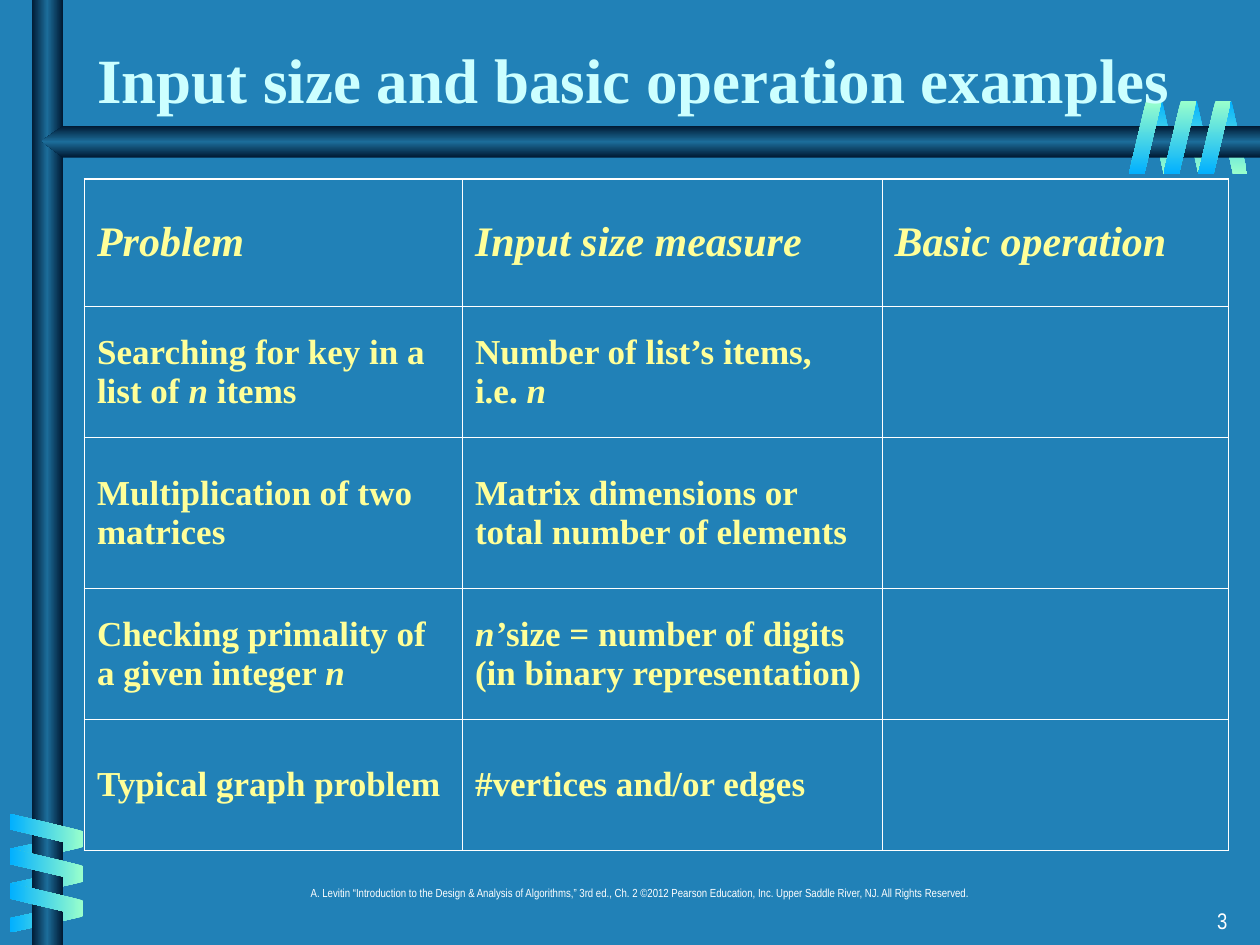
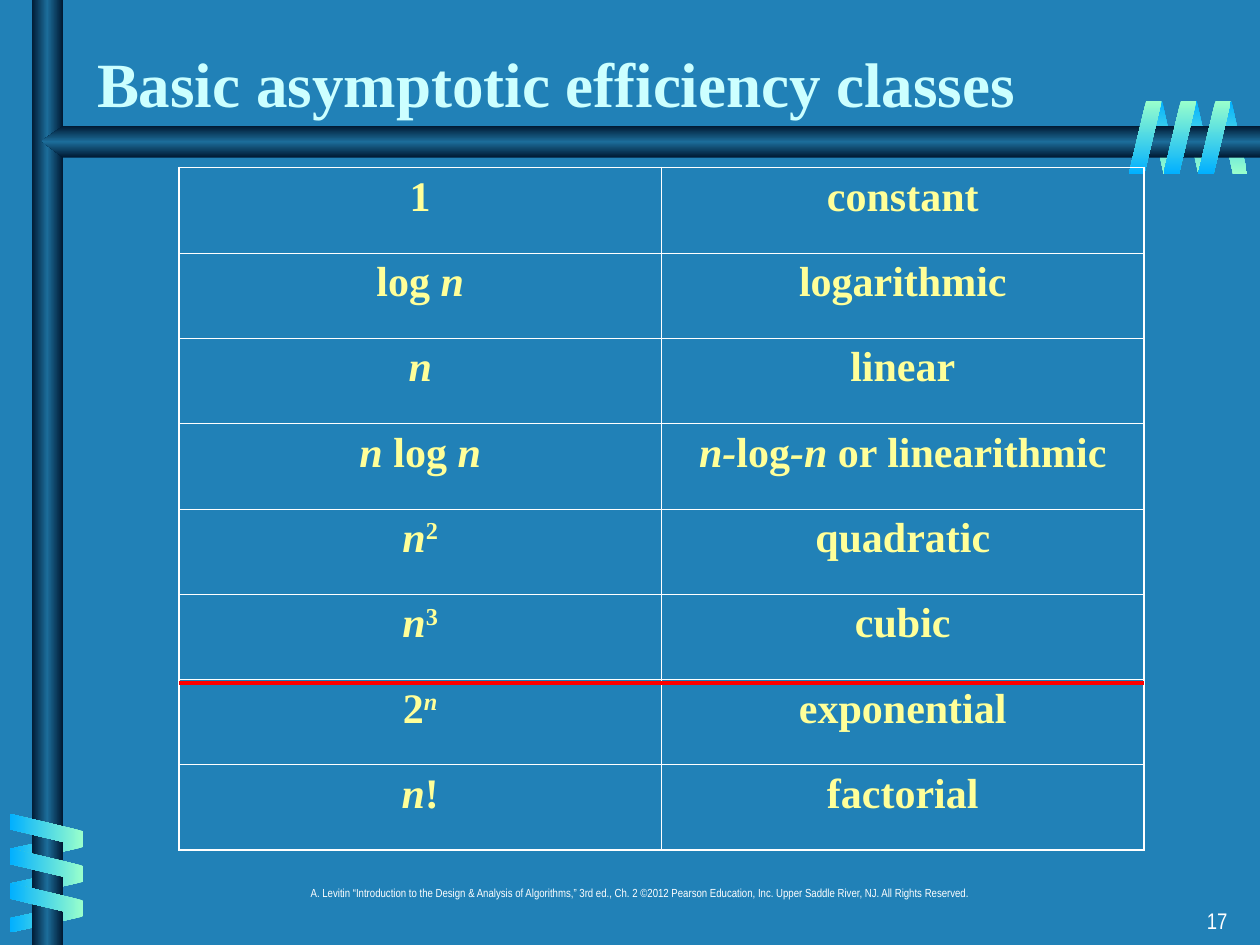
from copy import deepcopy

from lxml import etree
from pptx import Presentation
from pptx.dml.color import RGBColor
from pptx.enum.shapes import MSO_CONNECTOR, MSO_SHAPE
from pptx.enum.text import MSO_ANCHOR, MSO_AUTO_SIZE, PP_ALIGN
from pptx.oxml.ns import qn
from pptx.util import Inches, Pt

BLUE = RGBColor(0x21, 0x81, 0xB7)
NAVY = RGBColor(0x00, 0x19, 0x32)
STEEL = RGBColor(0x1C, 0x6D, 0x9A)
SKY = RGBColor(0x01, 0xB0, 0xFF)
MINT = RGBColor(0x99, 0xFF, 0xCC)
AQUA = RGBColor(0xCC, 0xFF, 0xFF)
YELLOW = RGBColor(0xFF, 0xFF, 0x99)
WHITE = RGBColor(0xFF, 0xFF, 0xFF)
RED = RGBColor(0xFF, 0x00, 0x00)

SERIF = "Times New Roman"
NARROW = "Arial Narrow"
FOOTER = ("A. Levitin “Introduction to the Design & Analysis of Algorithms,” 3rd ed., Ch. 2 "
          "©2012 Pearson Education, Inc. Upper Saddle River, NJ. All Rights Reserved.")


def paint(sp, colors, angle=270):
    """Fill a shape with evenly spaced gradient stops, without line or shadow."""
    sp.shadow.inherit = False
    sp.line.fill.background()
    sp.fill.gradient()
    sp.fill.gradient_angle = angle
    stops = sp.element.spPr.find(".//" + qn("a:gsLst"))
    while len(stops) < len(colors):
        stops.append(deepcopy(stops[0]))
    for i, (stop, color) in enumerate(zip(sp.fill.gradient_stops, colors)):
        stop.position = i / (len(colors) - 1)
        stop.color.rgb = color


def add_grid(s, left, top, widths, heights, rows, sizes, align, anchor):
    """Add a ruled table; *...* marks italics, ^ starts a superscript."""
    table = s.shapes.add_table(len(heights), len(widths), Inches(left), Inches(top),
                               Inches(sum(widths)), Inches(sum(heights))).table
    table.first_row = table.horz_banding = False
    for column, width in zip(table.columns, widths):
        column.width = Inches(width)
    for y, height in enumerate(heights):
        table.rows[y].height = Inches(height)
        for x in range(len(widths)):
            cell = table.cell(y, x)
            cell.vertical_anchor = anchor

            # Borders: heavier around the outside
            tcPr = cell._tc.get_or_add_tcPr()
            outer = {"lnL": x == 0, "lnR": x == len(widths) - 1,
                     "lnT": y == 0, "lnB": y == len(heights) - 1}
            for side, heavy in outer.items():
                ln = etree.SubElement(tcPr, qn("a:" + side), w=str(Pt(1.08 if heavy else 0.45)))
                fill = etree.SubElement(ln, qn("a:solidFill"))
                etree.SubElement(fill, qn("a:srgbClr"), val=str(WHITE))
            cell.fill.background()

            # Text
            p = cell.text_frame.paragraphs[0]
            p.alignment = align
            text = rows[y][x] if x < len(rows[y]) else ""
            for n, line in enumerate(text.split("\n")):
                if n:
                    p.add_line_break()
                for i, part in enumerate(line.split("*")):
                    for j, piece in enumerate(part.split("^")):
                        if not piece:
                            continue
                        r = p.add_run()
                        r.text = piece
                        r.font.name = SERIF
                        r.font.size = Pt(sizes[y])
                        r.font.bold = True
                        r.font.italic = i % 2 == 1
                        r.font.color.rgb = YELLOW
                        if j:
                            r._r.get_or_add_rPr().set("baseline", "30000")


prs = Presentation()
prs.slide_width = Inches(10)
prs.slide_height = Inches(7.5)
master = prs.slide_master
master.background.fill.solid()
master.background.fill.fore_color.rgb = BLUE

# Slides with title, footer and number
slides = []
for title, number, top, width in [
    ("Input size and basic operation examples", "3", 0.22, 9.33),
    ("Basic asymptotic efficiency classes", "17", 0.25, 8.3),
]:
    s = prs.slides.add_slide(prs.slide_layouts[5])
    slides.append(s)
    sp = s.shapes.title
    sp.left, sp.top = Inches(0.67), Inches(top)
    sp.width, sp.height = Inches(width), Inches(0.75)
    tf = sp.text_frame
    tf.auto_size = MSO_AUTO_SIZE.NONE
    tf.vertical_anchor = MSO_ANCHOR.BOTTOM
    p = tf.paragraphs[0]
    p.alignment = PP_ALIGN.LEFT
    r = p.add_run()
    r.text = title
    r.font.name, r.font.size, r.font.bold = SERIF, Pt(36), True
    r.font.color.rgb = AQUA

    for text, left, top, width, size, align, spacing in [
        (FOOTER, 2.17, 7, 5.83, 6.7, PP_ALIGN.CENTER, 0.8),
        (number, 7.76, 7.17, 2.08, 12.9, PP_ALIGN.RIGHT, 0.9),
    ]:
        tf = s.shapes.add_textbox(Inches(left), Inches(top), Inches(width), Inches(0.33)).text_frame
        tf.word_wrap = True
        p = tf.paragraphs[0]
        p.alignment, p.line_spacing = align, spacing
        r = p.add_run()
        r.text = text
        r.font.name, r.font.size = NARROW, Pt(size)
        r.font.color.rgb = WHITE

# Shared bars and coils, built once and moved to the master
shapes = slides[0].shapes
rail = shapes.add_shape(MSO_SHAPE.RECTANGLE, Inches(0.25), 0, Inches(0.25), Inches(7.5))
paint(rail, [NAVY, STEEL, NAVY], 0)
fb = shapes.build_freeform(Inches(10), Inches(1))
fb.add_line_segments([(Inches(x), Inches(y)) for x, y in
                      [(0.5, 1), (0.33, 1.12), (0.5, 1.25), (10, 1.25)]])
beam = fb.convert_to_shape()
paint(beam, [NAVY, STEEL, NAVY])

behind, front = [], []
for group, left, top, dx, dy, width, rotation, flipped, colors in [
    (behind, 9.11, 0.8, 0.275, 0, 0.24, 0, True, [SKY, MINT]),
    (behind, 0.25, 6.44, 0, 0.275, 0.24, 90, True, [MINT, SKY]),
    (front, 0.24, 6.3, 0, 0.275, 0.26, 90, False, [MINT, SKY]),
    (front, 8.96, 0.8, 0.275, 0, 0.26, 0, False, [MINT, SKY]),
]:
    for i in range(3):
        sp = shapes.add_shape(MSO_SHAPE.PARALLELOGRAM, Inches(left + i * dx),
                              Inches(top + i * dy), Inches(width), Inches(0.58))
        sp.adjustments[0] = 0.53
        sp.rotation = rotation
        if flipped:
            sp.element.spPr.find(qn("a:xfrm")).set("flipH", "1")
        paint(sp, colors)
        group.append(sp)

for i, sp in enumerate(behind + [rail, beam] + front):
    sp.element.nvSpPr.cNvPr.set("id", str(100 + i))
    master.shapes.element.insert(2 + i, sp.element)

# Slide 1: problems and input sizes
add_grid(slides[0], 0.67, 1.42, [3, 3.33, 2.75], [1.01, 1.04, 1.2, 1.04, 1.04], [
    ("*Problem*", "*Input size measure*", "*Basic operation*"),
    ("Searching for key in a list of *n* items", "Number of list’s items,\ni.e. *n*"),
    ("Multiplication of two matrices", "Matrix dimensions or total number of elements"),
    ("Checking primality of a given integer *n*",
     "*n’*size = number of digits (in binary representation)"),
    ("Typical graph problem", "#vertices and/or edges"),
], [24, 20, 20, 20, 20], PP_ALIGN.LEFT, MSO_ANCHOR.MIDDLE)

# Slide 2: efficiency classes
add_grid(slides[1], 1.42, 1.33, [3.83] * 2, [5.42 / 8] * 8, [
    ("1", "constant"),
    ("log *n*", "logarithmic"),
    ("*n*", "linear"),
    ("*n *log *n*", "*n-*log*-n *or linearithmic"),
    ("*n*^2", "quadratic"),
    ("*n*^3", "cubic"),
    ("2*^n*", "exponential"),
    ("*n*!", "factorial"),
], [24] * 8, PP_ALIGN.CENTER, MSO_ANCHOR.TOP)

# Divider below the polynomial classes
divider = slides[1].shapes.add_connector(MSO_CONNECTOR.STRAIGHT, Inches(1.42), Inches(5.42),
                                         Inches(9.08), Inches(5.42))
divider.line.color.rgb = RED
divider.line.width = Pt(2.25)
etree.SubElement(divider.element.spPr, qn("a:effectLst"))

prs.save("out.pptx")
